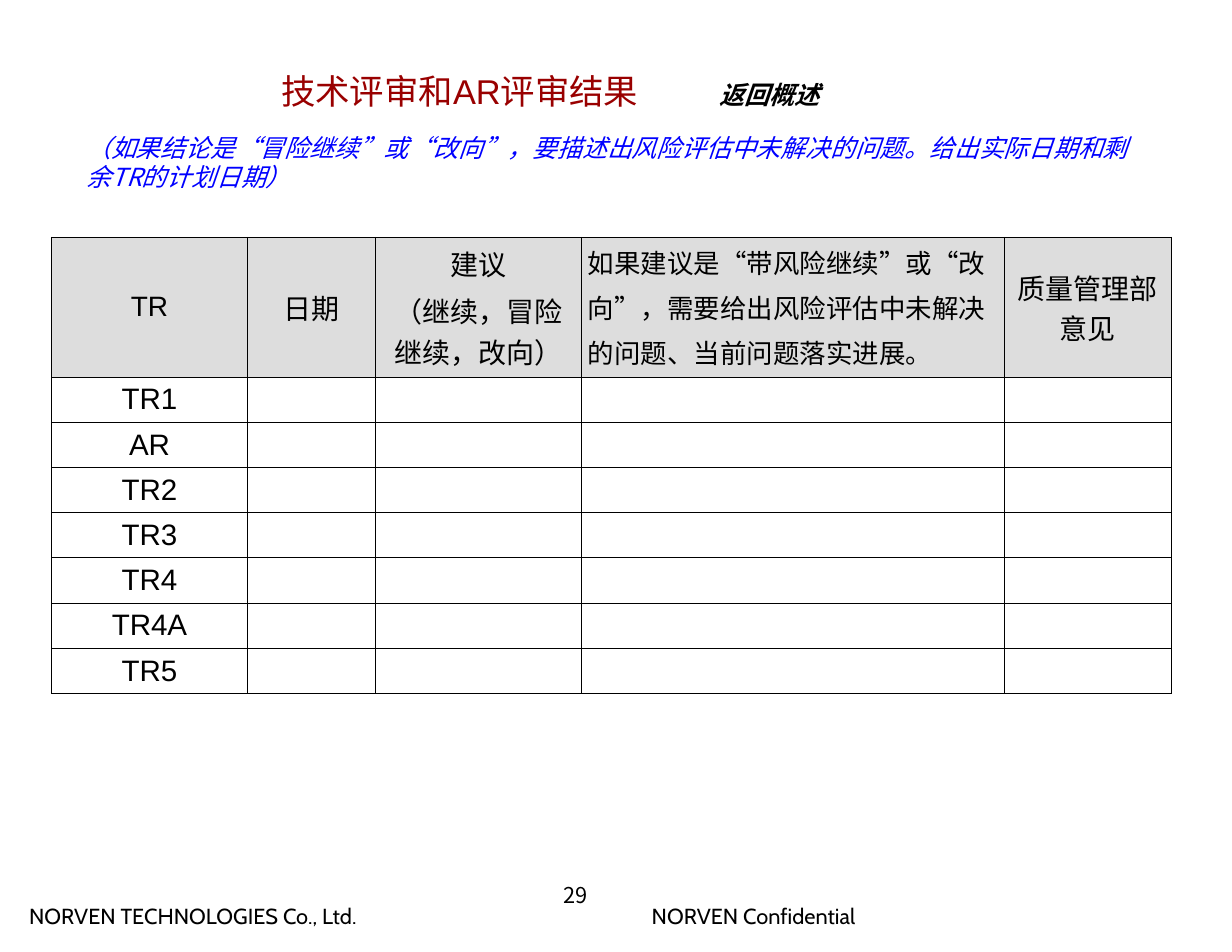
from pptx import Presentation
from pptx.dml.color import RGBColor
from pptx.enum.text import MSO_ANCHOR, PP_ALIGN
from pptx.oxml.ns import qn
from pptx.util import Cm, Pt
from lxml import etree

LEFT, CENTER = PP_ALIGN.LEFT, PP_ALIGN.CENTER
MIDDLE = MSO_ANCHOR.MIDDLE
BLANK_LAYOUT = 6


def color(hex_text):
    return RGBColor.from_string(hex_text)


class ReviewPage:
    BLACK, RED, BLUE, GREY = "000000", "990000", "0000FF", "DDDDDD"
    LATIN, CJK, FOOTER = "Arial", "Noto Sans CJK SC", "Cabin"
    BORDER = Pt(0.45)

    def __init__(self, deck):
        self.page = deck.slides.add_slide(deck.slide_layouts[BLANK_LAYOUT])

    def style(self, font, size, name, hex_text=BLACK, bold=False, italic=False):
        font.size, font.name = Pt(size), name
        font.bold, font.italic = bold, italic
        font.color.rgb = color(hex_text)
        east_asian = etree.Element(qn("a:ea"), typeface=self.CJK)
        font._element.find(qn("a:latin")).addnext(east_asian)

    def text_box(self, left, top, width, height):
        box = self.page.shapes.add_textbox(Cm(left), Cm(top), Cm(width), Cm(height))
        frame = box.text_frame
        frame.word_wrap = True
        frame.margin_left = frame.margin_right = 0
        frame.margin_top = frame.margin_bottom = 0
        return frame.paragraphs[0]

    def text(self, words, left, top, width, height, size, name, **look):
        para = self.text_box(left, top, width, height)
        para.text = words
        self.style(para.font, size, name, **look)

    def title(self, words, link_words, left, top, width, height, tab):
        para = self.text_box(left, top, width, height)
        tabs = etree.SubElement(para._p.get_or_add_pPr(), qn("a:tabLst"))
        etree.SubElement(tabs, qn("a:tab"), pos=str(Cm(tab)), algn="l")
        span = para.add_run()
        span.text = words
        self.style(span.font, 22.1, self.LATIN, self.RED)
        span = para.add_run()
        span.text = "\t" + link_words
        self.style(span.font, 16.1, self.CJK, bold=True, italic=True)

    def borders(self, cell):
        properties = cell._tc.get_or_add_tcPr()
        for index, side in enumerate(("lnL", "lnR", "lnT", "lnB")):
            line = etree.Element(qn("a:" + side), w=str(self.BORDER))
            fill = etree.SubElement(line, qn("a:solidFill"))
            etree.SubElement(fill, qn("a:srgbClr"), val=self.BLACK)
            properties.insert(index, line)

    def fill_cell(self, cell, lines, size, align, gap, fill=None):
        cell.margin_left = cell.margin_right = Cm(0.15)
        cell.margin_top = cell.margin_bottom = Cm(0.11)
        cell.vertical_anchor = MIDDLE
        cell.text = "\n".join(lines)
        for index, para in enumerate(cell.text_frame.paragraphs):
            para.alignment = align
            if index:
                para.space_before = Pt(gap)
            self.style(para.font, size, self.LATIN)
        if fill:
            cell.fill.solid()
            cell.fill.fore_color.rgb = color(fill)
        else:
            cell.fill.background()
        self.borders(cell)

    def table(self, headers, labels, left, top, widths, header_height, row_height):
        height = header_height + row_height * len(labels)
        table = self.page.shapes.add_table(
            len(labels) + 1, len(headers),
            Cm(left), Cm(top), Cm(sum(widths)), Cm(height)).table
        table.first_row = table.horz_banding = False
        for column, width in zip(table.columns, widths):
            column.width = Cm(width)
        for index, row in enumerate(table.rows):
            row.height = Cm(row_height if index else header_height)
        for column, (lines, size, align, gap) in enumerate(headers):
            self.fill_cell(table.cell(0, column), lines, size, align, gap, self.GREY)
        for row, label in enumerate(labels, start=1):
            for column in range(len(headers)):
                lines = [] if column else [label]
                size = 12 if column else 19
                self.fill_cell(table.cell(row, column), lines, size, CENTER, 0)


def main():
    deck = Presentation()
    deck.slide_width, deck.slide_height = Cm(27.94), Cm(21.59)
    review = ReviewPage(deck)

    # Footer
    for words, left, width in (("NORVEN TECHNOLOGIES Co., Ltd.", 0.66, 8.1),
                               ("NORVEN Confidential", 14.78, 5.3)):
        review.text(words, left, 20.47, width, 0.6, 14, review.FOOTER)

    # Title and guidance
    review.title("技术评审和AR评审结果", "返回概述", 6.38, 1.6, 16.61, 1, tab=9.93)
    review.text("（如果结论是“冒险继续”或“改向”，要描述出风险评估中未解决的问题。"
                "给出实际日期和剩余TR的计划日期）",
                1.96, 3, 23.95, 1.2, 16, review.CJK,
                hex_text=review.BLUE, italic=True)

    # Review table: lines, size, alignment and paragraph gap of each heading
    headers = [
        (["TR"], 18, CENTER, 0),
        (["日期"], 18, CENTER, 0),
        (["建议", "（继续，冒险继续，改向）"], 18, CENTER, 4.5),
        (["如果建议是“带风险继续”或“改",
          "向”，需要给出风险评估中未解决",
          "的问题、当前问题落实进展。"], 17, LEFT, 4.2),
        (["质量管理部意见"], 18, CENTER, 0),
    ]
    labels = ["TR1", "AR", "TR2", "TR3", "TR4", "TR4A", "TR5"]
    review.table(headers, labels, 1.17, 5.38, [4.44, 2.9, 4.67, 9.59, 3.79],
                 header_height=3.17, row_height=1)

    # Page number
    review.text("29", 12.78, 19.99, 1.4, 1, 14, review.CJK)

    deck.save("out.pptx")


if __name__ == "__main__":
    main()
